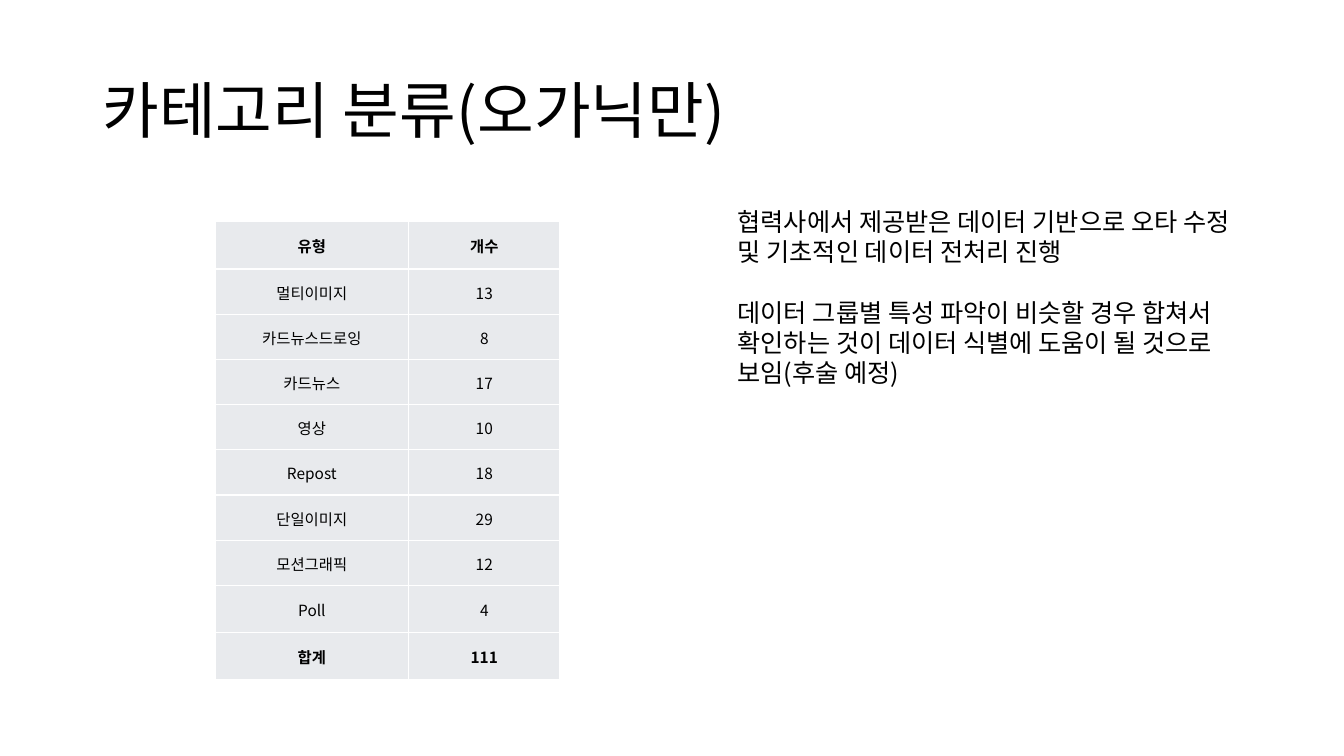
import pptx
import pptx.dml.color
import pptx.enum.text
import pptx.oxml
import pptx.oxml.ns
import pptx.util
from pptx.util import Cm

FONT = "Noto Sans CJK KR"
BLACK = pptx.dml.color.RGBColor(0x00, 0x00, 0x00)
CELL_GREY = pptx.dml.color.RGBColor(0xE8, 0xEA, 0xED)
WHITE = pptx.dml.color.RGBColor(0xFF, 0xFF, 0xFF)

TITLE = "카테고리 분류(오가닉만)"
NOTES = [
    "협력사에서 제공받은 데이터 기반으로 오타 수정 및 기초적인 데이터 전처리 진행",
    "데이터 그룹별 특성 파악이 비슷할 경우 합쳐서 확인하는 것이 "
    "데이터 식별에 도움이 될 것으로 보임(후술 예정)",
]
COUNTS = [
    ("멀티이미지", 13),
    ("카드뉴스드로잉", 8),
    ("카드뉴스", 17),
    ("영상", 10),
    ("Repost", 18),
    ("단일이미지", 29),
    ("모션그래픽", 12),
    ("Poll", 4),
]


def write(para, text, size, bold=False, align=pptx.enum.text.PP_ALIGN.LEFT):
    para.alignment = align
    span = para.add_run()
    span.text = text
    span.font.size = pptx.util.Pt(size)
    span.font.bold = bold
    span.font.name = FONT
    span.font.color.rgb = BLACK
    # East Asian typeface, for the Korean letters
    east_asian = pptx.oxml.parse_xml(
        f'<a:ea {pptx.oxml.ns.nsdecls("a")} typeface="{FONT}"/>')
    span.font._element.find(pptx.oxml.ns.qn("a:latin")).addnext(east_asian)


def add_title(page):
    title = page.shapes.title
    title.left, title.top = Cm(2.33), Cm(1.01)
    title.width, title.height = Cm(29.21), Cm(3.68)
    title.text_frame.vertical_anchor = pptx.enum.text.MSO_ANCHOR.MIDDLE
    para = title.text_frame.paragraphs[0]
    para.line_spacing = 0.9
    write(para, TITLE, 44)


def add_notes(page):
    box = page.shapes.add_textbox(Cm(18.34), Cm(5.08), Cm(13.21), Cm(4.88))
    frame = box.text_frame
    frame.word_wrap = True
    line = pptx.util.Pt(21.6)
    for index, text in enumerate(NOTES):
        para = frame.add_paragraph() if index else frame.paragraphs[0]
        para.line_spacing = line
        para.space_before = line if index else 0
        write(para, text, 18)


def add_borders(cell, color):
    properties = cell._tc.get_or_add_tcPr()
    for index, side in enumerate(("lnL", "lnR", "lnT", "lnB")):
        properties.insert(index, pptx.oxml.parse_xml(
            f'<a:{side} {pptx.oxml.ns.nsdecls("a")} w="12700">'
            f'<a:solidFill><a:srgbClr val="{color}"/></a:solidFill></a:{side}>'))


def fill_cell(cell, text, bold):
    cell.fill.solid()
    cell.fill.fore_color.rgb = CELL_GREY
    cell.vertical_anchor = pptx.enum.text.MSO_ANCHOR.MIDDLE
    cell.margin_left = cell.margin_right = cell.margin_top = Cm(0.03)
    cell.margin_bottom = 0
    add_borders(cell, WHITE)
    write(cell.text_frame.paragraphs[0], text, 11, bold,
          pptx.enum.text.PP_ALIGN.CENTER)


def add_count_table(page):
    total = sum(count for _, count in COUNTS)
    rows = [("유형", "개수"), *COUNTS, ("합계", total)]
    last = len(rows) - 1
    table = page.shapes.add_table(
        len(rows), 2, Cm(5.42), Cm(5.59), Cm(8.69), Cm(11.51)).table
    table.columns[0].width = Cm(4.88)
    table.columns[1].width = Cm(3.81)
    for index, values in enumerate(rows):
        # The header and the last two rows are slightly taller
        tall = index == 0 or index >= last - 1
        table.rows[index].height = Cm(1.19 if tall else 1.14)
        for column, value in enumerate(values):
            fill_cell(table.cell(index, column), str(value),
                      bold=index in (0, last))


def main():
    deck = pptx.Presentation()
    deck.slide_width, deck.slide_height = Cm(33.87), Cm(19.05)
    page = deck.slides.add_slide(deck.slide_layouts.get_by_name("Title Only"))
    add_title(page)
    add_notes(page)
    add_count_table(page)
    deck.save("out.pptx")


if __name__ == "__main__":
    main()
